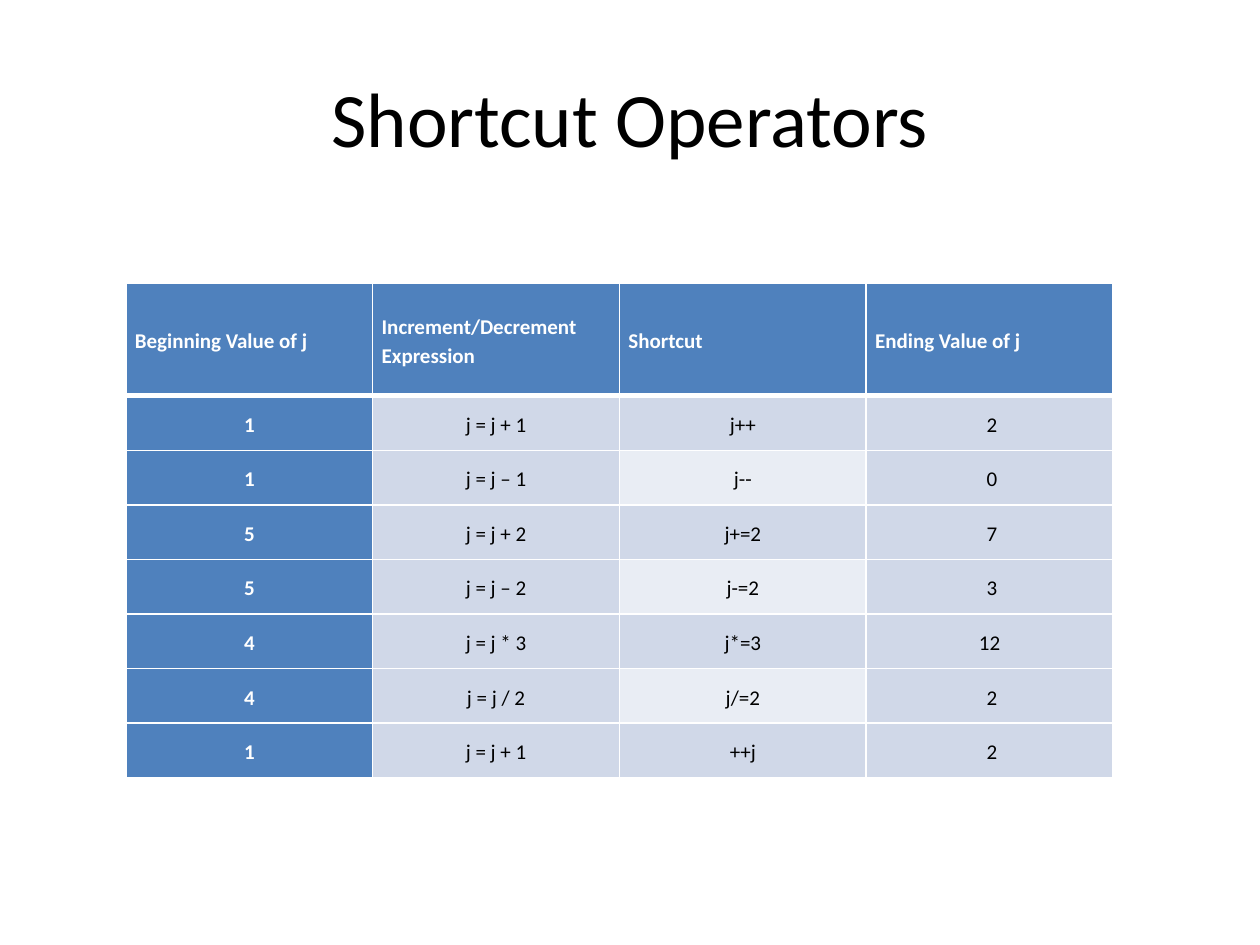
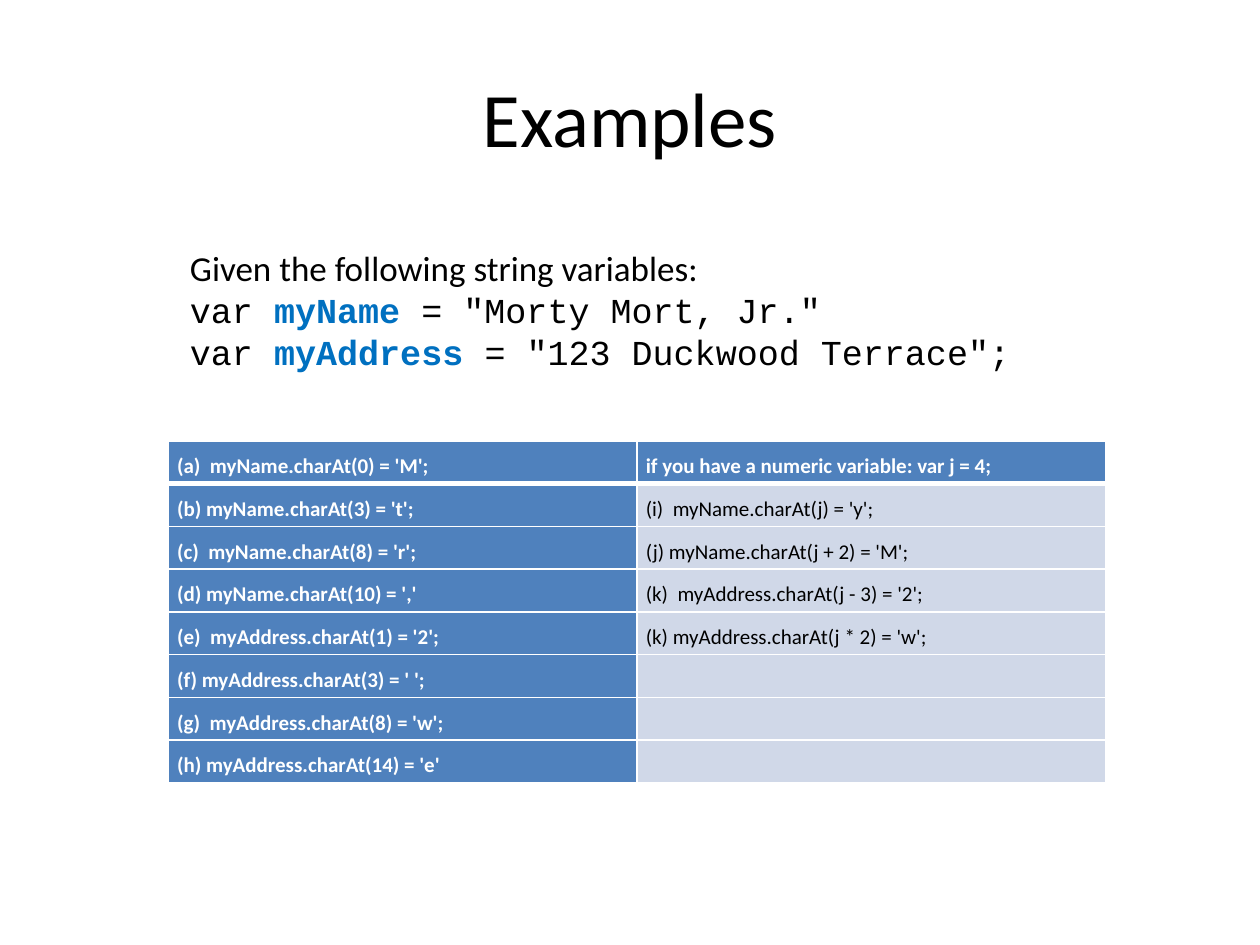
from lxml import etree
from pptx import Presentation
from pptx import util as u
from pptx.dml.color import RGBColor
from pptx.enum import text
from pptx.oxml.ns import qn

HUES = {
    "ink": "000000",
    "paper": "FFFFFF",
    "head": "4F81BD",
    "body": "D0D8E8",
    "pale": "E9EDF4",
    "name": "0070C0",
}
SANS, MONO = "Calibri", "Courier New"
LEFT, MID = text.PP_ALIGN.LEFT, text.PP_ALIGN.CENTER
TOP, CENTER = text.MSO_ANCHOR.TOP, text.MSO_ANCHOR.MIDDLE

TITLE = (1.27, 0.76, 22.86, 3.18)
SHORTCUTS = [
    ("Beginning Value of j", "Increment/Decrement Expression", "Shortcut", "Ending Value of j"),
    ("1", "j = j + 1", "j++", " 2"),
    ("1", "j = j – 1", "j--", " 0"),
    ("5", "j = j + 2", "j+=2", " 7"),
    ("5", "j = j – 2", "j-=2", " 3"),
    ("4", "j = j * 3", "j*=3", "12"),
    ("4", "j = j / 2", "j/=2", " 2"),
    ("1", "j = j + 1", "++j", " 2"),
]
CALLS = [
    ("(a)  myName.charAt(0) = 'M';", "if you have a numeric variable: var j = 4;"),
    ("(b) myName.charAt(3) = 't';", "(i)  myName.charAt(j) = 'y';"),
    ("(c)  myName.charAt(8) = 'r';", "(j) myName.charAt(j + 2) = 'M';"),
    ("(d) myName.charAt(10) = ','", "(k)  myAddress.charAt(j - 3) = '2';"),
    ("(e)  myAddress.charAt(1) = '2';", "(k) myAddress.charAt(j * 2) = 'w';"),
    ("(f) myAddress.charAt(3) = ' ';", ""),
    ("(g)  myAddress.charAt(8) = 'w';", ""),
    ("(h) myAddress.charAt(14) = 'e'", ""),
]
GIVEN = [
    [("Given the following string variables:", SANS, "ink", False)],
    [("var ", MONO, "ink", False), ("myName", MONO, "name", True),
     (' = "Morty Mort, Jr."', MONO, "ink", False)],
    [("var ", MONO, "ink", False), ("myAddress", MONO, "name", True),
     (' = "123 Duckwood Terrace";', MONO, "ink", False)],
]


def add_run(para, words, size, face=SANS, hue="ink", bold=False):
    run = para.add_run()
    run.text = words
    font = run.font
    font.name, font.size, font.bold = face, u.Pt(size), bold
    font.color.rgb = RGBColor.from_string(HUES[hue])


def add_frame(slide, box):
    frame = slide.shapes.add_textbox(*map(u.Cm, box)).text_frame
    frame.word_wrap = True
    frame.vertical_anchor = CENTER
    return frame


def add_title(slide, box, words):
    para = add_frame(slide, box).paragraphs[0]
    para.alignment = MID
    add_run(para, words, 44)


def add_given(slide, box, lines):
    frame = add_frame(slide, box)
    for i, line in enumerate(lines):
        para = frame.add_paragraph() if i else frame.paragraphs[0]
        props = para._p.get_or_add_pPr()
        props.set("marL", "0")
        props.set("indent", str(u.Cm(1.27)))
        for words, face, hue, bold in line:
            add_run(para, words, 20, face, hue, bold)


def add_edges(cell, row):
    props = cell._tc.get_or_add_tcPr()
    widths = {"L": 1, "R": 1, "T": 3 if row == 1 else 1, "B": 3 if row == 0 else 1}
    for side, width in widths.items():
        edge = etree.SubElement(props, qn(f"a:ln{side}"), w=str(u.Pt(width)))
        fill = etree.SubElement(edge, qn("a:solidFill"))
        etree.SubElement(fill, qn("a:srgbClr"), val=HUES["paper"])


def add_grid(slide, box, rows, top, space, anchor, align, band=None):
    left, y, width, height = box
    count, cols = len(rows), len(rows[0])
    grid = slide.shapes.add_table(count, cols, *map(u.Cm, box)).table
    step = (height - top) / (count - 1)
    for col in grid.columns:
        col.width = u.Cm(width / cols)
    for r, words in enumerate(rows):
        grid.rows[r].height = u.Cm(step if r else top)
        for c, word in enumerate(words):
            cell = grid.cell(r, c)
            strong = r == 0 or c == 0
            pale = c == band and r % 2 == 0
            add_edges(cell, r)
            cell.fill.solid()
            hue = "head" if strong else "pale" if pale else "body"
            cell.fill.fore_color.rgb = RGBColor.from_string(HUES[hue])
            cell.margin_left = cell.margin_right = u.Cm(0.18)
            cell.margin_top = cell.margin_bottom = 0
            cell.vertical_anchor = anchor
            para = cell.text_frame.paragraphs[0]
            para.alignment = align if r else LEFT
            para.line_spacing = space
            if word:
                add_run(para, word, 12, hue="paper" if strong else "ink", bold=strong)


def add_page(deck, title):
    slide = deck.slides.add_slide(deck.slide_layouts[6])
    add_title(slide, TITLE, title)
    return slide


def main():
    deck = Presentation()
    deck.slide_width, deck.slide_height = u.Cm(25.4), u.Cm(19.05)

    slide = add_page(deck, "Shortcut Operators")
    add_grid(slide, (2.54, 5.72, 19.9, 9.96), SHORTCUTS, 2.26, 1.15, CENTER, MID, band=2)

    slide = add_page(deck, "Examples")
    add_grid(slide, (3.39, 8.89, 18.9, 6.9), CALLS, 0.86, 1.5, TOP, LEFT)
    add_given(slide, (2.31, 4.83, 19.28, 2.82), GIVEN)

    deck.save("out.pptx")


if __name__ == "__main__":
    main()
